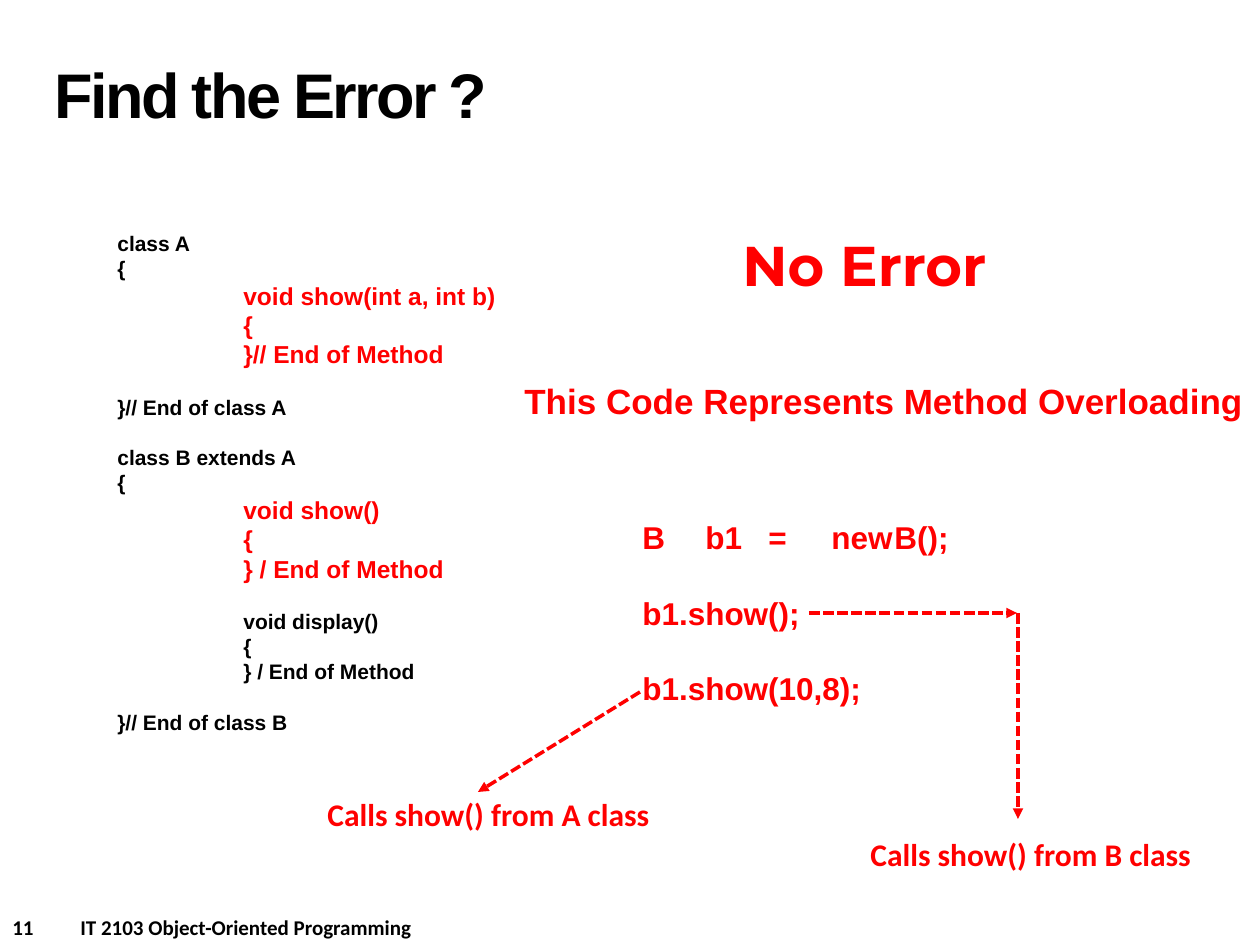
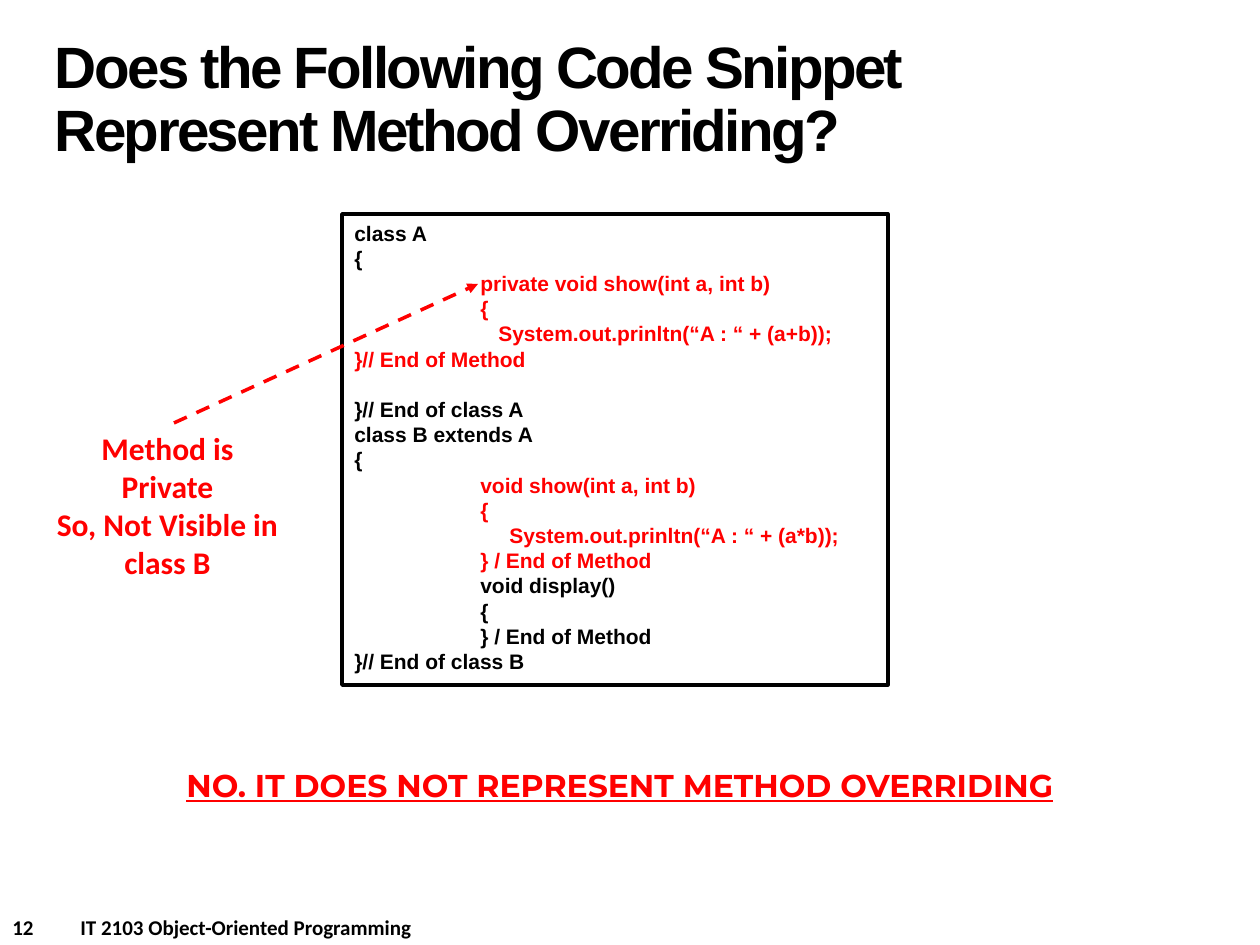
from lxml.etree import SubElement
from pptx import Presentation
from pptx.dml.color import RGBColor
from pptx.enum.dml import MSO_LINE_DASH_STYLE as DASH
from pptx.enum.shapes import MSO_CONNECTOR, MSO_SHAPE
from pptx.enum.text import MSO_ANCHOR, MSO_AUTO_SIZE, PP_ALIGN
from pptx.oxml.ns import qn
from pptx.util import Pt

SCALE = 7257  # EMU in one pixel, at 126 pixels to the inch
TAB = 126
RED, BLACK = "FF0000", "000000"
color_of = RGBColor.from_string


def write(slide, box, lines, shape=None, anchor=MSO_ANCHOR.TOP, **shared):
    """Write lines, each a string or (string, format), in a text box or a given shape."""
    shape = shape or slide.shapes.add_textbox(0, 0, 0, 0)
    shape.left, shape.top, shape.width, shape.height = (n * SCALE for n in box)
    frame = shape.text_frame
    frame.word_wrap = True
    frame.auto_size = MSO_AUTO_SIZE.NONE
    frame.vertical_anchor = anchor
    for number, line in enumerate(lines):
        text, own = (line, {}) if isinstance(line, str) else line
        style = {"size": 18, "font": "Arial", "color": RED, **shared, **own}
        paragraph = frame.add_paragraph() if number else frame.paragraphs[0]
        paragraph.alignment = style.get("align", PP_ALIGN.LEFT)
        paragraph.line_spacing = Pt(style.get("leading", 1.2 * style["size"]))
        paragraph.space_before = Pt(style.get("gap", 0))
        properties = paragraph._p.get_or_add_pPr()
        properties.set("marL", str(style.get("indent", 0) * SCALE))
        properties.set("indent", "0")
        if "\t" in text:
            stops = SubElement(properties, qn("a:tabLst"))
            for stop in range(1, text.count("\t") + 1):
                SubElement(stops, qn("a:tab"), pos=str(stop * TAB * SCALE), algn="l")
        run = paragraph.add_run()
        run.text = text
        run.font.name = style["font"]
        run.font.size = Pt(style["size"])
        run.font.bold = True
        run.font.underline = style.get("underline", False)
        run.font.color.rgb = color_of(style["color"])
        if "tracking" in style:
            run._r.get_or_add_rPr().set("spc", str(style["tracking"]))


def add_arrow(slide, points, dash):
    """Draw a dashed red arrow from the first point to the second."""
    arrow = slide.shapes.add_connector(
        MSO_CONNECTOR.STRAIGHT, *(n * SCALE for n in points))
    arrow.line.color.rgb = color_of(RED)
    arrow.line.width = Pt(2)
    arrow.line.dash_style = dash
    SubElement(arrow.line._get_or_add_ln(), qn("a:tailEnd"), type="triangle")
    SubElement(arrow._element.spPr, qn("a:effectLst"))


presentation = Presentation()
presentation.slide_width = 1260 * SCALE
presentation.slide_height = 945 * SCALE

# Shared title and footer
titles = [
    ("11", "Find the Error ?", 36),
    ("12", "Does the Following Code Snippet Represent Method Overriding?", 33.3),
]
slides = []
for number, title, size in titles:
    slide = presentation.slides.add_slide(presentation.slide_layouts[5])
    write(slide, (42, 21, 872, 158), [title], shape=slide.shapes.title,
          anchor=MSO_ANCHOR.MIDDLE, size=size, color=BLACK, leading=36, tracking=-150)
    for left, width, text in [(0, 60, number), (68, 560, "IT 2103 Object-Oriented Programming")]:
        write(slide, (left, 908, width, 37), [text], font="Calibri", size=12, color=BLACK)
    slides.append(slide)
error_slide, overriding_slide = slides

# Slide 11: overloaded method and the calls to it
code = {"size": 12, "color": BLACK}
inner = {"indent": TAB}
blank = {"gap": 14.4}
overload = {"indent": TAB, "size": 14, "color": RED}
write(error_slide, (105, 224, 456, 522), [
    "class A",
    "{",
    ("void show(int a, int b)", overload),
    ("{", overload),
    ("}// End of Method", overload),
    ("}// End of class A", blank),
    ("class B extends A", blank),
    "{",
    ("void show()", overload),
    ("{", overload),
    ("} / End of Method", overload),
    ("void display()", {**inner, **blank}),
    ("{", inner),
    ("} / End of Method", inner),
    ("}// End of class B", blank),
], **code)
write(error_slide, (712, 224, 305, 81), ["No Error"],
      font="Montserrat", size=32, align=PP_ALIGN.CENTER)
write(error_slide, (512, 373, 748, 55), ["This Code Represents Method Overloading"], size=20)
call = {"gap": 21.6}
write(error_slide, (630, 512, 620, 204), [
    "B\tb1\t=\tnew\tB();",
    ("b1.show();", call),
    ("b1.show(10,8);", call),
])
for points in [(1018, 613, 1018, 819), (809, 613, 1017, 613), (640, 692, 478, 792)]:
    add_arrow(error_slide, points, DASH.SQUARE_DOT)
for left, top, name in [(858, 829, "B"), (315, 789, "A")]:
    write(error_slide, (left, top, 370, 50), [f"Calls show() from {name} class"], font="Calibri")

# Slide 12: private method that cannot be overridden
private = {"indent": TAB, "color": RED}
write(overriding_slide, (342, 214, 546, 471), [
    "class A",
    "{",
    ("private void show(int a, int b)", private),
    ("{", private),
    ("System.out.prinltn(“A : “ + (a+b));", {**private, "indent": TAB + 18}),
    ("}// End of Method", {"color": RED}),
    ("}// End of class A", blank),
    "class B extends A",
    "{",
    ("void show(int a, int b)", private),
    ("{", private),
    ("System.out.prinltn(“A : “ + (a*b));", {**private, "indent": TAB + 29}),
    ("} / End of Method", private),
    ("void display()", inner),
    ("{", inner),
    ("} / End of Method", inner),
    "}// End of class B",
], **code)
frame_box = overriding_slide.shapes.add_shape(
    MSO_SHAPE.RECTANGLE, *(n * SCALE for n in (342, 214, 546, 471)))
frame_box.shadow.inherit = False
frame_box.fill.background()
frame_box.line.color.rgb = color_of(BLACK)
frame_box.line.width = Pt(2)
write(overriding_slide, (174, 760, 967, 50),
      ["NO. IT DOES NOT REPRESENT METHOD OVERRIDING"], font="Montserrat", underline=True)
add_arrow(overriding_slide, (174, 423, 478, 284), DASH.DASH)
write(overriding_slide, (42, 423, 251, 165),
      ["Method is Private", "So, Not Visible in class B"],
      font="Calibri", align=PP_ALIGN.CENTER)

presentation.save("out.pptx")
